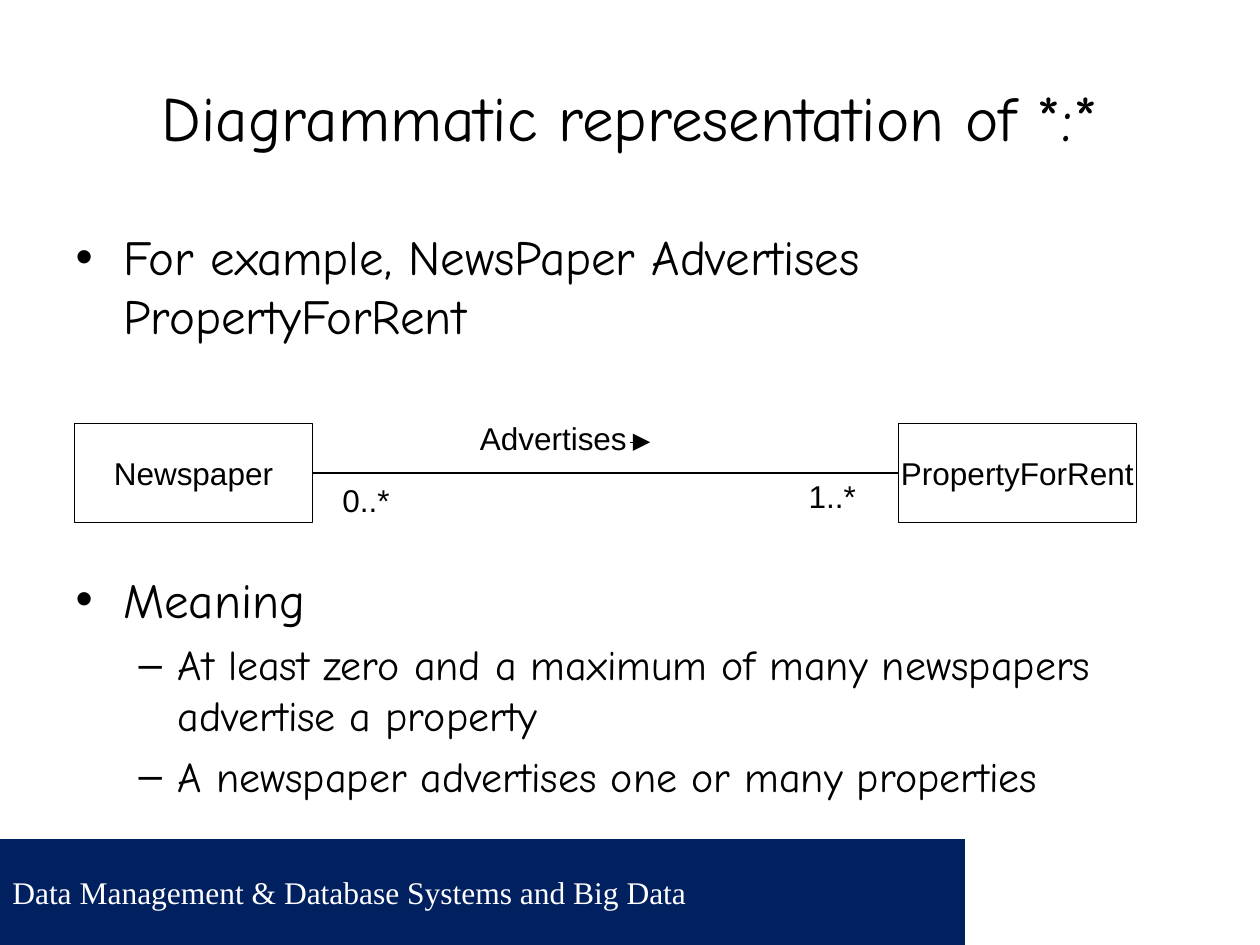
from lxml import etree
from pptx import Presentation
from pptx.dml.color import RGBColor
from pptx.enum.shapes import MSO_CONNECTOR, MSO_SHAPE
from pptx.enum.text import MSO_ANCHOR, MSO_AUTO_SIZE, PP_ALIGN
from pptx.oxml.ns import qn
from pptx.util import Inches, Pt

RECTANGLE = MSO_SHAPE.RECTANGLE
STRAIGHT = MSO_CONNECTOR.STRAIGHT
MIDDLE = MSO_ANCHOR.MIDDLE
LEFT, CENTER = PP_ALIGN.LEFT, PP_ALIGN.CENTER
NO_AUTOFIT = MSO_AUTO_SIZE.NONE
FIT_SHAPE = MSO_AUTO_SIZE.SHAPE_TO_FIT_TEXT
LEFT_SIDE, RIGHT_SIDE = 1, 3

BLACK, WHITE, NAVY = "000000", "FFFFFF", "002060"
HEADING_FONT, DIAGRAM_FONT, FOOTER_FONT = "Comic Neue", "Arial", "Times New Roman"

# Per list level: bullet, left margin, hanging indent (inches), text size
LEVELS = [("•", 0.38, 0.38, 28), ("–", 0.81, 0.31, 24)]


def color(value):
    return RGBColor.from_string(value)


def set_attributes(target, values):
    for name, value in values.items():
        setattr(target, name, value)


class SlideBuilder:
    """Holds the diagram style and the slide being filled."""

    line_width = Pt(0.75)
    label_size = 18

    def __init__(self, slide):
        self.slide = slide

    def format_text(self, paragraph, font, size, text_color=BLACK):
        set_attributes(paragraph.font, {"name": font, "size": Pt(size)})
        paragraph.font.color.rgb = color(text_color)

    def place(self, shape, left, top, width, height):
        set_attributes(shape, {"left": Inches(left), "top": Inches(top),
                               "width": Inches(width), "height": Inches(height)})

    def title(self, text, *position):
        title = self.slide.shapes.title
        self.place(title, *position)
        frame = title.text_frame
        set_attributes(frame, {"text": text, "vertical_anchor": MIDDLE,
                               "auto_size": NO_AUTOFIT})
        paragraph = frame.paragraphs[0]
        paragraph.alignment = CENTER
        self.format_text(paragraph, HEADING_FONT, 36)

    def bullets(self, items, *position):
        """Fill the body with (text, level, space before) items."""
        body = self.slide.placeholders[1]
        self.place(body, *position)
        frame = body.text_frame
        frame.auto_size = NO_AUTOFIT
        for index, (text, level, space_before) in enumerate(items):
            paragraph = frame.add_paragraph() if index else frame.paragraphs[0]
            set_attributes(paragraph, {"text": text, "level": level,
                                       "space_before": Pt(space_before)})
            bullet, margin, hanging, size = LEVELS[level]
            properties = paragraph._p.get_or_add_pPr()
            properties.set("marL", str(Inches(margin)))
            properties.set("indent", str(-Inches(hanging)))
            bullet_color = etree.SubElement(properties, qn("a:buClr"))
            etree.SubElement(bullet_color, qn("a:srgbClr"), val=BLACK)
            etree.SubElement(properties, qn("a:buChar"), char=bullet)
            self.format_text(paragraph, HEADING_FONT, size)

    def rectangle(self, fill, *position):
        shape = self.slide.shapes.add_shape(RECTANGLE, *map(Inches, position))
        shape.shadow.inherit = False
        shape.fill.solid()
        shape.fill.fore_color.rgb = color(fill)
        shape.line.fill.background()
        return shape

    def footer(self, text, *position):
        frame = self.rectangle(NAVY, *position).text_frame
        set_attributes(frame, {"text": text, "vertical_anchor": MIDDLE})
        paragraph = frame.paragraphs[0]
        paragraph.alignment = LEFT
        self.format_text(paragraph, FOOTER_FONT, 18, WHITE)

    def entity(self, name, *position):
        shape = self.rectangle(WHITE, *position)
        shape.line.color.rgb = color(BLACK)
        shape.line.width = self.line_width
        frame = shape.text_frame
        set_attributes(frame, {"text": name, "vertical_anchor": MIDDLE,
                               "word_wrap": False})
        paragraph = frame.paragraphs[0]
        paragraph.alignment = CENTER
        self.format_text(paragraph, DIAGRAM_FONT, self.label_size)
        return shape

    def label(self, text, *position):
        frame = self.slide.shapes.add_textbox(*map(Inches, position)).text_frame
        set_attributes(frame, {"text": text, "word_wrap": False,
                               "auto_size": FIT_SHAPE})
        self.format_text(frame.paragraphs[0], DIAGRAM_FONT, self.label_size)

    def line(self, *ends):
        connector = self.slide.shapes.add_connector(STRAIGHT, *map(Inches, ends))
        connector.line.color.rgb = color(BLACK)
        connector.line.width = self.line_width
        etree.SubElement(connector._element.spPr, qn("a:effectLst"))
        return connector

    def arrow(self, *ends):
        outline = self.line(*ends).line._get_or_add_ln()
        etree.SubElement(outline, qn("a:tailEnd"), type="triangle",
                         w="lg", len="lg")

    def association(self, source, target):
        connector = self.line(0, 0, 0, 0)
        connector.begin_connect(source, RIGHT_SIDE)
        connector.end_connect(target, LEFT_SIDE)


def main():
    presentation = Presentation()
    set_attributes(presentation, {"slide_width": Inches(10),
                                  "slide_height": Inches(7.5)})
    layout = presentation.slide_layouts[1]
    builder = SlideBuilder(presentation.slides.add_slide(layout))

    builder.footer("Data Management & Database Systems and Big Data",
                   0, 6.66, 10, 0.84)
    builder.rectangle(WHITE, 7.66, 6.66, 2.34, 0.84)

    builder.title("Diagrammatic representation of *:*", 0.5, 0.3, 9, 1.25)
    builder.bullets([
        ("For example, NewsPaper Advertises PropertyForRent", 0, 0),
        ("Meaning", 0, 128.5),
        ("At least zero and a maximum of many newspapers advertise a property", 1, 6),
        ("A newspaper advertises one or many properties", 1, 6),
    ], 0.5, 1.75, 9, 4.95)

    newspaper = builder.entity("Newspaper", 0.59, 3.36, 1.89, 0.79)
    property_for_rent = builder.entity("PropertyForRent", 7.13, 3.36, 1.89, 0.79)
    builder.association(newspaper, property_for_rent)
    builder.label("Advertises", 3.71, 3.28, 1.4, 0.4)
    builder.arrow(5, 3.51, 5.16, 3.51)
    builder.label("0..*", 2.62, 3.77, 0.6, 0.4)
    builder.label("1..*", 6.32, 3.74, 0.6, 0.4)

    presentation.save("out.pptx")


if __name__ == "__main__":
    main()
